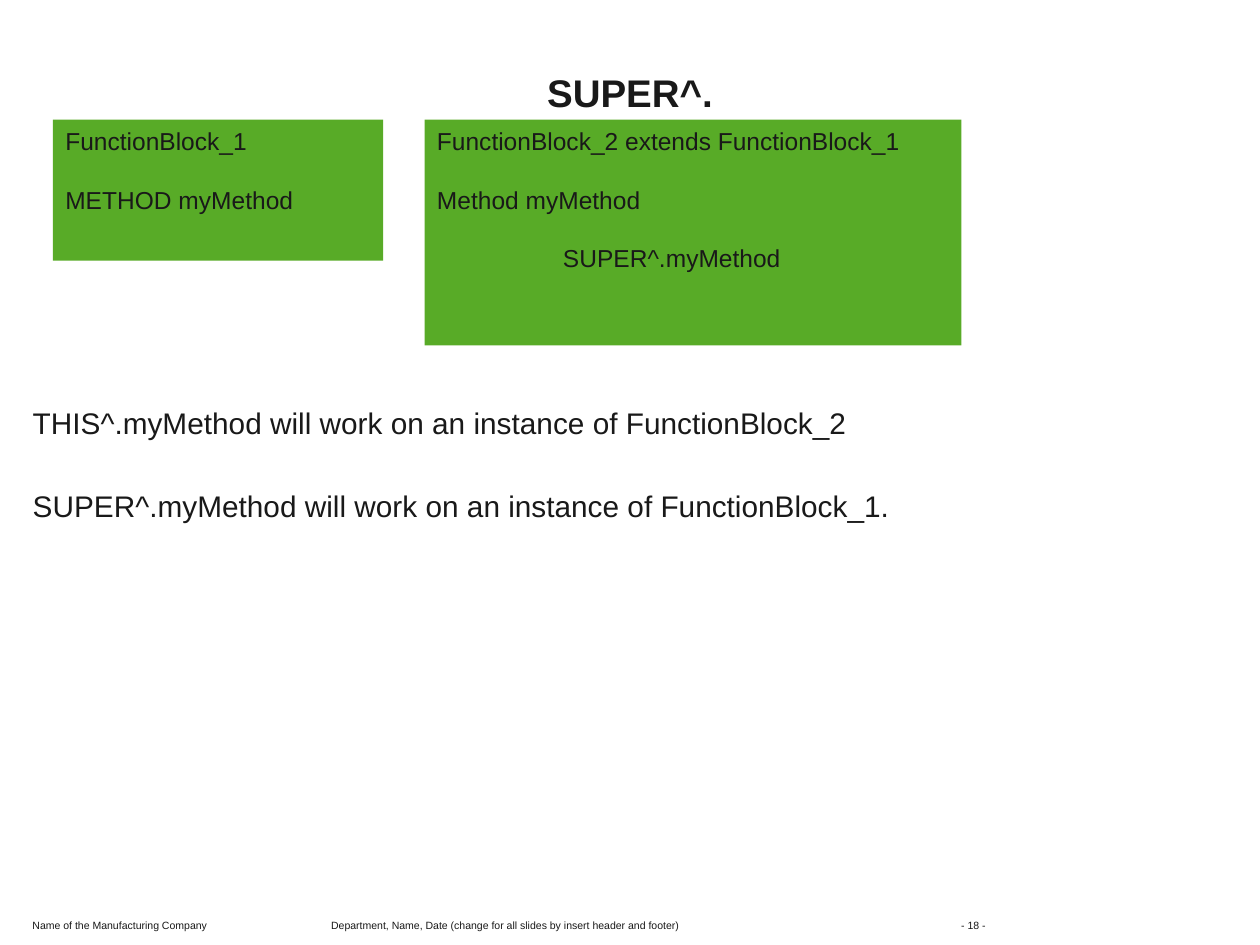
from dataclasses import dataclass

from pptx import Presentation
from pptx.dml.color import RGBColor
from pptx.enum.shapes import MSO_SHAPE
from pptx.enum.text import MSO_ANCHOR, PP_ALIGN
from pptx.util import Inches, Pt


@dataclass(frozen=True)
class Theme:
    font: str = "Arial"
    ink: str = "191919"
    green: str = "58AB27"
    title: int = 22
    body: int = 17
    code: int = 14
    foot: int = 6


@dataclass(frozen=True)
class Area:
    """Left, top, width and height in percent of the slide."""
    x: float
    y: float
    w: float
    h: float


@dataclass(frozen=True)
class Line:
    text: str
    indent: float = 0


@dataclass(frozen=True)
class Block:
    area: Area
    lines: tuple[Line, ...]


@dataclass(frozen=True)
class Note:
    x: float
    w: float
    text: str


THEME = Theme()
WIDTH, HEIGHT = Inches(10), Inches(7.5)
BLOCK_TOP = 12.67
FOOT_TOP, FOOT_HIGH = 96.53, 2.67

BLOCKS = (
    Block(Area(4.2, BLOCK_TOP, 26.2, 14.93),
          (Line("FunctionBlock_1"), Line("METHOD myMethod"))),
    Block(Area(33.7, BLOCK_TOP, 42.6, 23.87),
          (Line("FunctionBlock_2 extends FunctionBlock_1"),
           Line("Method myMethod"),
           Line("SUPER^.myMethod", indent=1))),
)
BODY = (
    Line("THIS^.myMethod will work on an instance of FunctionBlock_2"),
    Line("SUPER^.myMethod will work on an instance of FunctionBlock_1."),
)
NOTES = (
    Note(1.6, 22, "Name of the Manufacturing Company"),
    Note(25.3, 31.7,
         "Department, Name, Date (change for all slides by insert header and footer)"),
    Note(75.3, 6, "- 18 -"),
)


def place(area: Area) -> tuple[int, int, int, int]:
    return (int(WIDTH * area.x / 100), int(HEIGHT * area.y / 100),
            int(WIDTH * area.w / 100), int(HEIGHT * area.h / 100))


def write(shape, lines: tuple[Line, ...], *, size: float, bold: bool = False,
          align=PP_ALIGN.LEFT, anchor=MSO_ANCHOR.TOP, gap: float = 0,
          inset: tuple[float, float] = (0.1, 0.05)) -> None:
    frame = shape.text_frame
    frame.word_wrap = True
    frame.vertical_anchor = anchor
    frame.margin_left = frame.margin_right = Inches(inset[0])
    frame.margin_top = frame.margin_bottom = Inches(inset[1])
    for i, line in enumerate(lines):
        para = frame.add_paragraph() if i else frame.paragraphs[0]
        para.alignment = align
        para.space_before = Pt(gap if i else 0)
        if line.indent:
            para._p.get_or_add_pPr().set("marL", str(Inches(line.indent)))
        run = para.add_run()
        run.text = line.text
        run.font.name = THEME.font
        run.font.size = Pt(size)
        run.font.bold = bold
        run.font.color.rgb = RGBColor.from_string(THEME.ink)


def label(slide, area: Area, *lines: Line, **style) -> None:
    write(slide.shapes.add_textbox(*place(area)), lines, **style)


def draw(slide, block: Block) -> None:
    shape = slide.shapes.add_shape(MSO_SHAPE.RECTANGLE, *place(block.area))
    shape.shadow.inherit = False
    shape.fill.solid()
    shape.fill.fore_color.rgb = RGBColor.from_string(THEME.green)
    shape.line.fill.background()
    write(shape, block.lines, size=THEME.code, gap=16.7)


def main() -> None:
    deck = Presentation()
    deck.slide_width, deck.slide_height = WIDTH, HEIGHT
    slide = deck.slides.add_slide(deck.slide_layouts[6])
    label(slide, Area(1.7, 42.27, 93.7, 26.67), *BODY,
          size=THEME.body, gap=27.4, inset=(0.09, 0.04))
    label(slide, Area(3.8, 6.4, 92.4, 6.67), Line("SUPER^."),
          size=THEME.title, bold=True, align=PP_ALIGN.CENTER,
          anchor=MSO_ANCHOR.MIDDLE)
    for block in BLOCKS:
        draw(slide, block)
    for note in NOTES:
        label(slide, Area(note.x, FOOT_TOP, note.w, FOOT_HIGH), Line(note.text),
              size=THEME.foot, anchor=MSO_ANCHOR.MIDDLE)
    deck.save("out.pptx")


if __name__ == "__main__":
    main()
